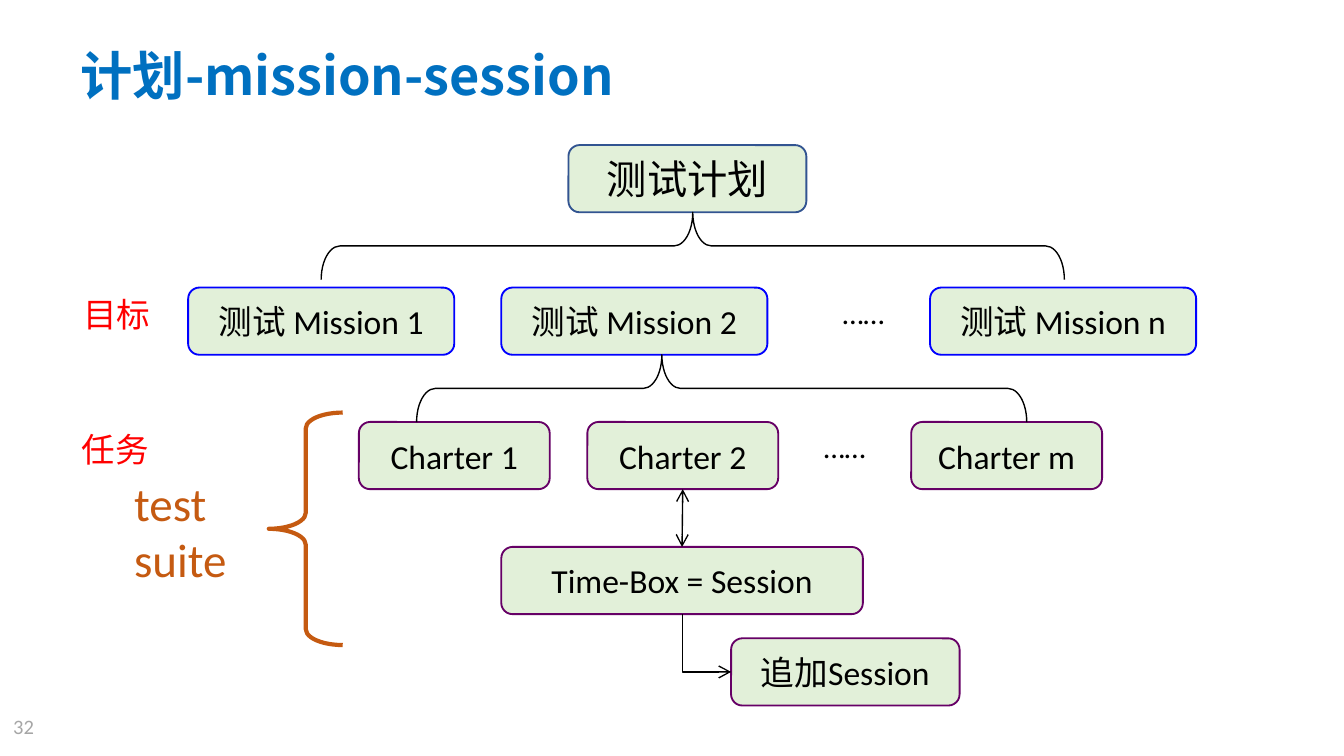
import pptx
import pptx.util
import pptx.dml.color
import pptx.enum.shapes
import pptx.enum.text
import pptx.oxml.ns
import lxml.etree as etree

Inch = pptx.util.Inches
Pt = pptx.util.Pt
Name = pptx.oxml.ns.qn
Shape = pptx.enum.shapes.MSO_SHAPE
Link = pptx.enum.shapes.MSO_CONNECTOR
Align = pptx.enum.text.PP_ALIGN
Anchor = pptx.enum.text.MSO_ANCHOR

WIDE = 10
HIGH = WIDE * 9 / 16
BOX = 0.5  # height of every box and tree brace
ROWS = {"plan": 1.08, "goal": 2.14, "task": 3.14, "time": 4.07, "more": 4.75}
HUES = {"title": "0070C0", "fill": "E2F0D9", "plan": "325491", "goal": "0000FF",
        "task": "660066", "ink": "000000", "suite": "C55A11", "label": "FF0000",
        "page": "A6A6A6"}
LATIN, HAN = "Calibri", "Noto Sans CJK SC"

TITLE = "计划-mission-session"
# text, row, left, width, outline, size
BOXES = [
    ("测试计划", "plan", 4.23, 1.77, "plan", 21.6),
    ("测试 Mission 1", "goal", 1.4, 1.98, "goal", 18),
    ("测试 Mission 2", "goal", 3.73, 1.98, "goal", 18),
    ("测试 Mission n", "goal", 6.92, 1.98, "goal", 18),
    ("Charter 1", "task", 2.67, 1.42, "task", 18),
    ("Charter 2", "task", 4.37, 1.42, "task", 18),
    ("Charter m", "task", 6.78, 1.42, "task", 18),
    ("Time-Box = Session", "time", 3.73, 2.69, "task", 18),
    ("追加Session", "more", 5.44, 1.7, "task", 18),
]
# text, left, top, width, height, size, colour, alignment, wrap
NOTES = [
    ("……", 6, ROWS["goal"], 0.85, 0.37, 16.2, "ink", Align.CENTER, True),
    ("……", 5.86, ROWS["task"], 0.85, 0.37, 16.2, "ink", Align.CENTER, True),
    ("目标", 0.52, ROWS["goal"], 0.71, 0.4, 18, "label", Align.LEFT, False),
    ("任务", 0.51, ROWS["task"], 0.71, 0.4, 18, "label", Align.LEFT, False),
    ("test suite", 0.9, 3.48, 1.24, 0.95, 25.2, "suite", Align.LEFT, True),
    ("32", 0, 5.26, WIDE, 0.22, 11, "page", Align.LEFT, True),
]
# parent row, left, span, place of the tip
TREES = [("plan", 2.39, 5.53, 0.5), ("goal", 3.1, 4.54, 0.402)]


def hue(name):
    return pptx.dml.color.RGBColor.from_string(HUES[name])


def tag(parent, name, **attrs):
    return etree.SubElement(parent, Name(name), attrs)


def write(frame, text, size, color, align, font=LATIN, bold=False):
    frame.text = text
    para = frame.paragraphs[0]
    para.alignment = align
    face = para.font
    face.size, face.name, face.bold = Pt(size), font, bold
    face.color.rgb = hue(color)
    if any("一" <= sign <= "龥" for sign in text):
        tag(para._p.pPr.find(Name("a:defRPr")), "a:ea", typeface=HAN)


def draw(slide, kind, left, top, width, height, line, weight):
    form = slide.shapes.add_shape(kind, *map(Inch, (left, top, width, height)))
    form.shadow.inherit = False
    form.fill.background()
    form.line.color.rgb = hue(line)
    form.line.width = Pt(weight)
    return form


def join(slide, kind, start, end, ends):
    """Add a thin connector with open arrowheads at the named ends."""
    wire = slide.shapes.add_connector(kind, *map(Inch, start + end))
    wire.line.color.rgb = hue("ink")
    wire.line.width = Pt(0.75)
    props = wire._element.spPr
    for name in ends:
        tag(props.find(Name("a:ln")), name, type="arrow")
    tag(props, "a:effectLst")
    return wire


def main():
    deck = pptx.Presentation()
    deck.slide_width, deck.slide_height = Inch(WIDE), Inch(HIGH)
    slide = deck.slides.add_slide(deck.slide_layouts[5])

    title = slide.shapes.title
    title.left, title.top, title.width, title.height = map(
        Inch, (0.51, 0.26, 6.52, 0.59))
    frame = title.text_frame
    frame.auto_size = pptx.enum.text.MSO_AUTO_SIZE.NONE
    frame.vertical_anchor = Anchor.MIDDLE
    frame.margin_left = frame.margin_right = Inch(0.09)
    frame.margin_top = frame.margin_bottom = Inch(0.04)
    write(frame, TITLE, 28, "title", Align.LEFT, HAN, True)

    boxes = {}
    for text, row, left, width, line, size in BOXES:
        box = draw(slide, Shape.ROUNDED_RECTANGLE, left, ROWS[row], width, BOX, line, 1)
        box.fill.solid()
        box.fill.fore_color.rgb = hue("fill")
        box.text_frame.vertical_anchor = Anchor.MIDDLE
        write(box.text_frame, text, size, "ink", Align.CENTER,
              HAN if row == "plan" else LATIN)
        boxes[text] = box

    for text, left, top, width, height, size, color, align, wrap in NOTES:
        note = slide.shapes.add_textbox(*map(Inch, (left, top, width, height)))
        note.text_frame.word_wrap = wrap
        write(note.text_frame, text, size, color, align)

    for row, left, span, tip in TREES:
        # The frame is upright before its quarter turn about the centre
        side = left + (span - BOX) / 2
        top = ROWS[row] + BOX - (span - BOX) / 2
        tree = draw(slide, Shape.RIGHT_BRACE, side, top, BOX, span, "ink", 0.75)
        tree.rotation = 270
        tree.adjustments[0], tree.adjustments[1] = 0.279, tip

    suite = draw(slide, Shape.LEFT_BRACE, 2, 3.07, 0.55, 1.73, "suite", 2.25)
    suite.adjustments[0] = 0.215

    mid = 5.08
    pair = join(slide, Link.STRAIGHT, (mid, ROWS["task"] + BOX), (mid, ROWS["time"]),
                ("a:headEnd", "a:tailEnd"))
    pair.begin_connect(boxes["Charter 2"], 2)
    pair.end_connect(boxes["Time-Box = Session"], 0)

    # A one-bend connector: down from the time box, then right
    start, end = (mid, ROWS["time"] + BOX), (5.44, ROWS["more"] + BOX / 2)
    run, drop = end[0] - start[0], end[1] - start[1]
    left = (start[0] + end[0] - drop) / 2
    top = (start[1] + end[1] - run) / 2
    bend = join(slide, Link.ELBOW, (left, top), (left + drop, top + run), ("a:tailEnd",))
    props = bend._element.spPr
    props.find(Name("a:prstGeom")).set("prst", "bentConnector2")
    props.xfrm.set("rot", str(270 * 60000))
    props.xfrm.set("flipH", "1")

    deck.save("out.pptx")


if __name__ == "__main__":
    main()
